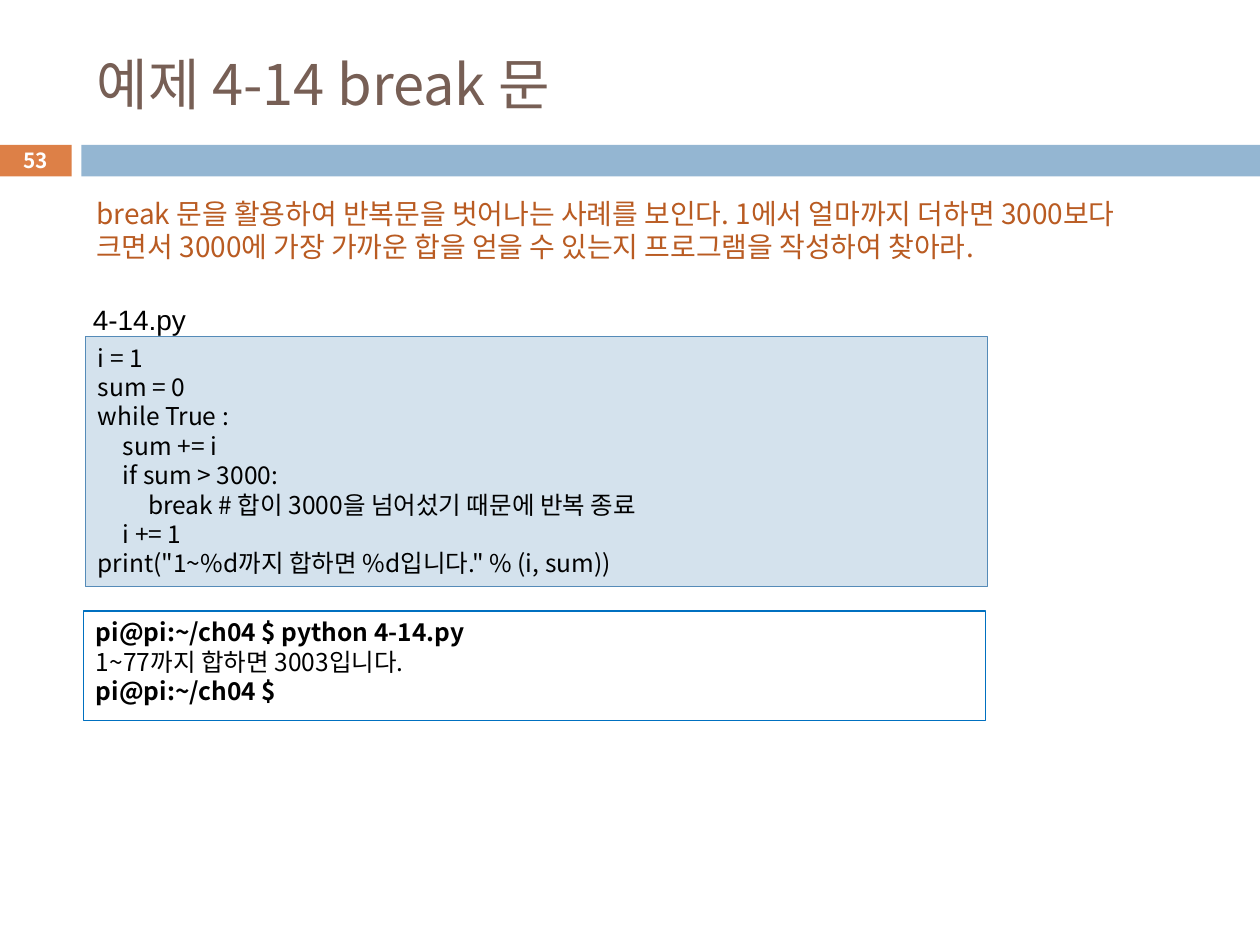
from lxml import etree
from pptx import Presentation
from pptx.dml.color import RGBColor
from pptx.enum.shapes import MSO_SHAPE
from pptx.enum.text import MSO_ANCHOR, MSO_AUTO_SIZE, PP_ALIGN
from pptx.oxml.ns import qn
from pptx.util import Pt

RECTANGLE = MSO_SHAPE.RECTANGLE
TOP, MIDDLE = MSO_ANCHOR.TOP, MSO_ANCHOR.MIDDLE
LEFT, CENTER, JUSTIFY = PP_ALIGN.LEFT, PP_ALIGN.CENTER, PP_ALIGN.JUSTIFY
NO_FIT = MSO_AUTO_SIZE.NONE

KOREAN = "Noto Sans CJK KR"
CODE_SIZE, CODE_LEADING, TAB_STEP = 14, 16.8, 14.4

SOURCE_CODE = [
    "i = 1",
    "sum = 0",
    "while True :",
    "\tsum += i",
    "\tif sum > 3000:",
    "\t\tbreak # 합이 3000을 넘어섰기 때문에 반복 종료",
    "\ti += 1",
    'print("1~%d까지 합하면 %d입니다." % (i, sum))',
]
SESSION = [
    ("pi@pi:~/ch04 $ python 4-14.py", True),
    ("1~77까지 합하면 3003입니다.", False),
    ("pi@pi:~/ch04 $", True),
]
TASK = ("break 문을 활용하여 반복문을 벗어나는 사례를 보인다. 1에서 얼마까지 더하면 "
        "3000보다 크면서 3000에 가장 가까운 합을 얻을 수 있는지 프로그램을 작성하여 찾아라.")


def color(hex_value):
    return RGBColor.from_string(hex_value)


def points(box):
    return [Pt(length) for length in box]


def add_tab_stops(para, count):
    tabs = etree.SubElement(para._p.get_or_add_pPr(), qn("a:tabLst"))
    for number in range(1, count + 1):
        etree.SubElement(tabs, qn("a:tab"), pos=str(Pt(TAB_STEP * number)), algn="l")


def write(shape, lines, size, ink, font=KOREAN, align=LEFT, anchor=TOP,
          leading=None, wrap=True, tab_count=0):
    frame = shape.text_frame
    frame.word_wrap = wrap
    frame.auto_size = NO_FIT
    frame.vertical_anchor = anchor
    for index, (text, bold) in enumerate(lines):
        para = frame.paragraphs[0] if index == 0 else frame.add_paragraph()
        para.alignment = align
        if leading:
            para.line_spacing = leading
        if tab_count:
            add_tab_stops(para, tab_count)
        span = para.add_run()
        span.text = text
        span.font.size = Pt(size)
        span.font.bold = bold
        span.font.color.rgb = color(ink)
        span.font.name = font
        etree.SubElement(span._r.get_or_add_rPr(), qn("a:ea"), typeface=font)


def add_panel(page, box, fill=None, line=None):
    panel = page.shapes.add_shape(RECTANGLE, *points(box))
    panel.shadow.inherit = False
    if fill:
        panel.fill.solid()
        panel.fill.fore_color.rgb = color(fill)
    else:
        panel.fill.background()
    if line:
        panel.line.color.rgb = color(line)
        panel.line.width = Pt(0.75)
    else:
        panel.line.fill.background()
    return panel


def add_title(page, box):
    title = page.shapes.title
    title.left, title.top, title.width, title.height = points(box)
    write(title, [("예제 4-14 break 문", False)], 32, "775F55", anchor=MIDDLE)


def add_header_band(page, box, number):
    left, top, width, height = box
    badge_width, band_left = 41, 46.5
    badge = add_panel(page, (left, top, badge_width, height), "DD8047")
    add_panel(page, (left + band_left, top, width - band_left, height), "94B6D2")
    write(badge, [(number, True)], 11.9, "FFFFFF", align=CENTER, anchor=MIDDLE,
          leading=Pt(14.2))


def add_task(page, box):
    task = page.shapes.add_textbox(*points(box))
    write(task, [(TASK, False)], 16, "B95B22", leading=Pt(19))


def add_file_label(page, box):
    label = page.shapes.add_textbox(*points(box))
    write(label, [("4-14.py", False)], 16, "000000", font="Arial", align=JUSTIFY,
          leading=1.6, wrap=False)


def add_listing(page, box):
    panel = add_panel(page, box, "D4E2ED", "558BB8")
    write(panel, [(line, False) for line in SOURCE_CODE], CODE_SIZE, "000000",
          leading=Pt(CODE_LEADING), tab_count=2)


def add_session(page, box):
    panel = add_panel(page, box, line="0070C0")
    write(panel, SESSION, CODE_SIZE, "000000", leading=Pt(CODE_LEADING))


def main():
    deck = Presentation()
    deck.slide_width, deck.slide_height = Pt(720), Pt(540)
    page = deck.slides.add_slide(deck.slide_layouts[5])
    add_header_band(page, (0, 82.8, 720, 18), "53")
    add_title(page, (48, 18, 642, 59))
    add_task(page, (48, 108.7, 642, 46))
    add_listing(page, (48.8, 192.2, 515.5, 143))
    add_session(page, (47.8, 349.2, 515.5, 62.5))
    add_file_label(page, (46, 157.7, 69, 34))
    deck.save("out.pptx")


if __name__ == "__main__":
    main()
